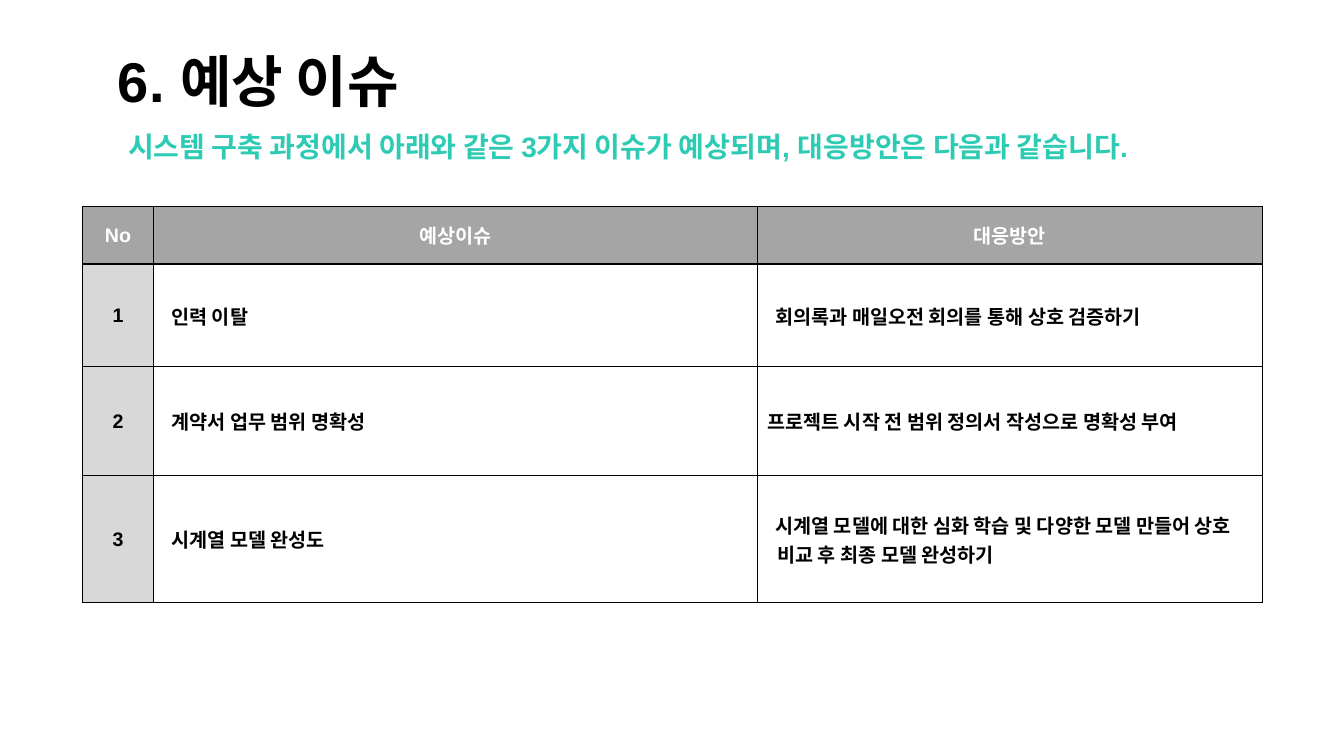
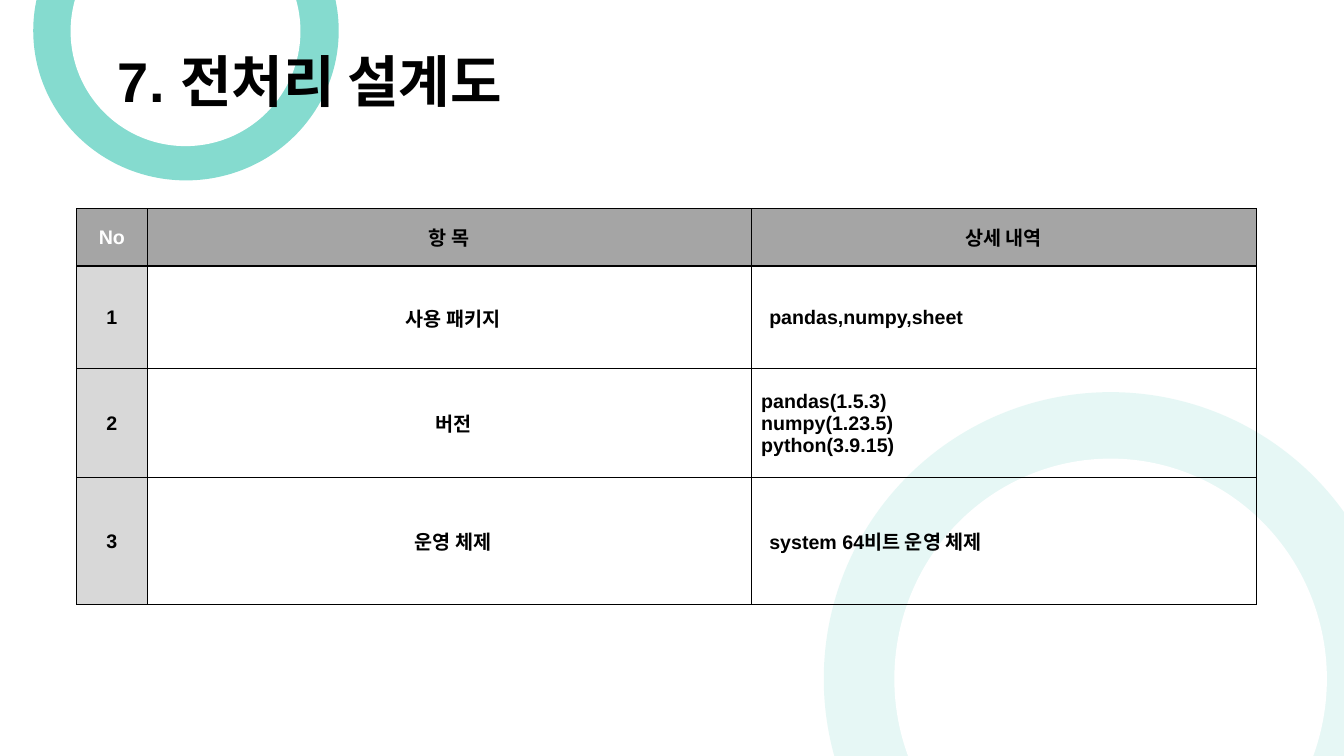
from pptx import Presentation
from pptx.dml.color import RGBColor
from pptx.enum.shapes import MSO_SHAPE
from pptx.enum.text import MSO_ANCHOR, MSO_AUTO_SIZE, PP_ALIGN
from pptx.oxml import parse_xml
from pptx.oxml.ns import nsdecls
from pptx.util import Pt

SCALE = 9144  # EMU in one px, 100 px to the inch
FONT = "Arial"
BLACK = RGBColor(0x00, 0x00, 0x00)
WHITE = RGBColor(0xFF, 0xFF, 0xFF)
TEAL = RGBColor(0x2E, 0xCB, 0xB4)
RING_TEAL = RGBColor(0x85, 0xDB, 0xCF)
HEADER_GRAY = RGBColor(0xA5, 0xA5, 0xA5)
NUMBER_GRAY = RGBColor(0xD8, 0xD8, 0xD8)
LEFT, CENTER = PP_ALIGN.LEFT, PP_ALIGN.CENTER
TOP, MIDDLE = MSO_ANCHOR.TOP, MSO_ANCHOR.MIDDLE
NO_AUTOFIT = MSO_AUTO_SIZE.NONE
OVAL = MSO_SHAPE.OVAL
TITLE_AND_BODY, TITLE_ONLY = 1, 5

TITLE_BOX = (107, 36, 784, 88)
SUBTITLE_BOX = (117, 127, 1201, 39)
COLUMNS = (70, 599, 501)
ROWS = (57, 102, 108, 126)

ISSUES = (
    ("No", "예상이슈", "대응방안"),
    ("1", "인력 이탈", "회의록과 매일오전 회의를 통해 상호 검증하기"),
    ("2", "계약서 업무 범위 명확성", "프로젝트 시작 전 범위 정의서 작성으로 명확성 부여"),
    ("3", "시계열 모델 완성도",
     "시계열 모델에 대한 심화 학습 및 다양한 모델 만들어 상호 비교 후 최종 모델 완성하기"),
)
PREPROCESSING = (
    ("No", "항 목", "상세 내역"),
    ("1", "사용 패키지", "pandas,numpy,sheet"),
    ("2", "버전", "pandas(1.5.3)\nnumpy(1.23.5)\npython(3.9.15)"),
    ("3", "운영 체제", "system 64비트 운영 체제"),
)


def px(value):
    return value * SCALE


def emu(box):
    return [px(v) for v in box]


def set_margins(target, x, y):
    target.margin_left = target.margin_right = px(x)
    target.margin_top = target.margin_bottom = px(y)


def set_indent(p, left, first):
    pPr = p._p.get_or_add_pPr()
    pPr.set("marL", str(px(left)))
    pPr.set("indent", str(px(first)))
    return pPr


def style(p, size, color, align=LEFT):
    p.alignment = align
    p.font.name, p.font.size = FONT, Pt(size)
    p.font.bold, p.font.color.rgb = True, color


def place_text(shape, box, text, size, color, inset_y):
    """Move a placeholder into the box and give it one unbulleted line."""
    shape.left, shape.top, shape.width, shape.height = emu(box)
    tf = shape.text_frame
    tf.text = text
    tf.word_wrap, tf.auto_size, tf.vertical_anchor = True, NO_AUTOFIT, TOP
    set_margins(tf, 10, inset_y)
    p = tf.paragraphs[0]
    p.space_before = Pt(0)
    set_indent(p, 0, 0).append(parse_xml(f"<a:buNone {nsdecls('a')}/>"))
    style(p, size, color)


def add_slide(prs, layout, title):
    s = prs.slides.add_slide(prs.slide_layouts[layout])
    place_text(s.shapes.title, TITLE_BOX, title, 40, BLACK, 10)
    return s


def add_borders(cell):
    tcPr = cell._tc.get_or_add_tcPr()
    for side in "LRTB":
        tcPr.append(parse_xml(
            f'<a:ln{side} {nsdecls("a")} w="{Pt(1)}"><a:solidFill>'
            f'<a:srgbClr val="{BLACK}"/></a:solidFill></a:ln{side}>'))


def fill_cell(cell, row, col, text, header_color, item_align):
    add_borders(cell)
    color, align, fill = BLACK, CENTER, None
    if row == 0:
        fill, color = HEADER_GRAY, header_color if col else WHITE
        set_margins(cell, 10, 5)
    elif col == 0:
        fill = NUMBER_GRAY
        set_margins(cell, 5, 5)
    else:
        align = item_align if col == 1 else LEFT
        set_margins(cell, 10, 4)
    if fill is None:
        cell.fill.background()
    else:
        cell.fill.solid()
        cell.fill.fore_color.rgb = fill
    cell.vertical_anchor = MIDDLE
    cell.text = text
    for p in cell.text_frame.paragraphs:
        if row and col and (row, col) != (2, 2):
            set_indent(p, 10, -2)
        style(p, 14, color, align)


def add_numbered_table(s, left, top, rows, header_color, item_align):
    box = emu((left, top, sum(COLUMNS), sum(ROWS)))
    table = s.shapes.add_table(len(ROWS), len(COLUMNS), *box).table
    table.first_row = table.horz_banding = False
    for column, width in zip(table.columns, COLUMNS):
        column.width = px(width)
    for row, height in zip(table.rows, ROWS):
        row.height = px(height)
    for r, texts in enumerate(rows):
        for c, text in enumerate(texts):
            fill_cell(table.cell(r, c), r, c, text, header_color, item_align)


def add_ring(s, outer, inner, opacity=100):
    """Group a teal disc with the white disc that hollows it out."""
    group = s.shapes.add_group_shape()
    for box, color, percent in ((outer, RING_TEAL, opacity), (inner, WHITE, 100)):
        disc = group.shapes.add_shape(OVAL, *emu(box))
        disc.shadow.inherit = False
        disc.line.fill.background()
        disc.fill.solid()
        disc.fill.fore_color.rgb = color
        if percent < 100:
            srgb = disc.fill._xPr.find(".//{*}srgbClr")
            srgb.append(parse_xml(f'<a:alpha {nsdecls("a")} val="{percent * 1000}"/>'))


def issues_slide(prs):
    s = add_slide(prs, TITLE_AND_BODY, "6. 예상 이슈")
    body = s.placeholders[1]
    place_text(body, SUBTITLE_BOX,
               "시스템 구축 과정에서 아래와 같은 3가지 이슈가 예상되며, 대응방안은 다음과 같습니다.",
               20, TEAL, 5)
    body.text_frame.paragraphs[0].line_spacing = 0.9
    add_numbered_table(s, 82, 205, ISSUES, WHITE, LEFT)


def preprocessing_slide(prs):
    s = add_slide(prs, TITLE_ONLY, "7. 전처리 설계도")
    add_ring(s, (33, -118, 303, 297), (70, -83, 228, 228))
    add_ring(s, (817, 389, 569, 569), (887, 455, 429, 437), opacity=20)
    title = s.shapes.title.element
    title.getparent().append(title)  # keeps the title in front of the rings
    add_numbered_table(s, 76, 207, PREPROCESSING, BLACK, CENTER)


def main():
    prs = Presentation()
    prs.slide_width, prs.slide_height = emu((1333, 750))
    issues_slide(prs)
    preprocessing_slide(prs)
    prs.save("out.pptx")


if __name__ == "__main__":
    main()
